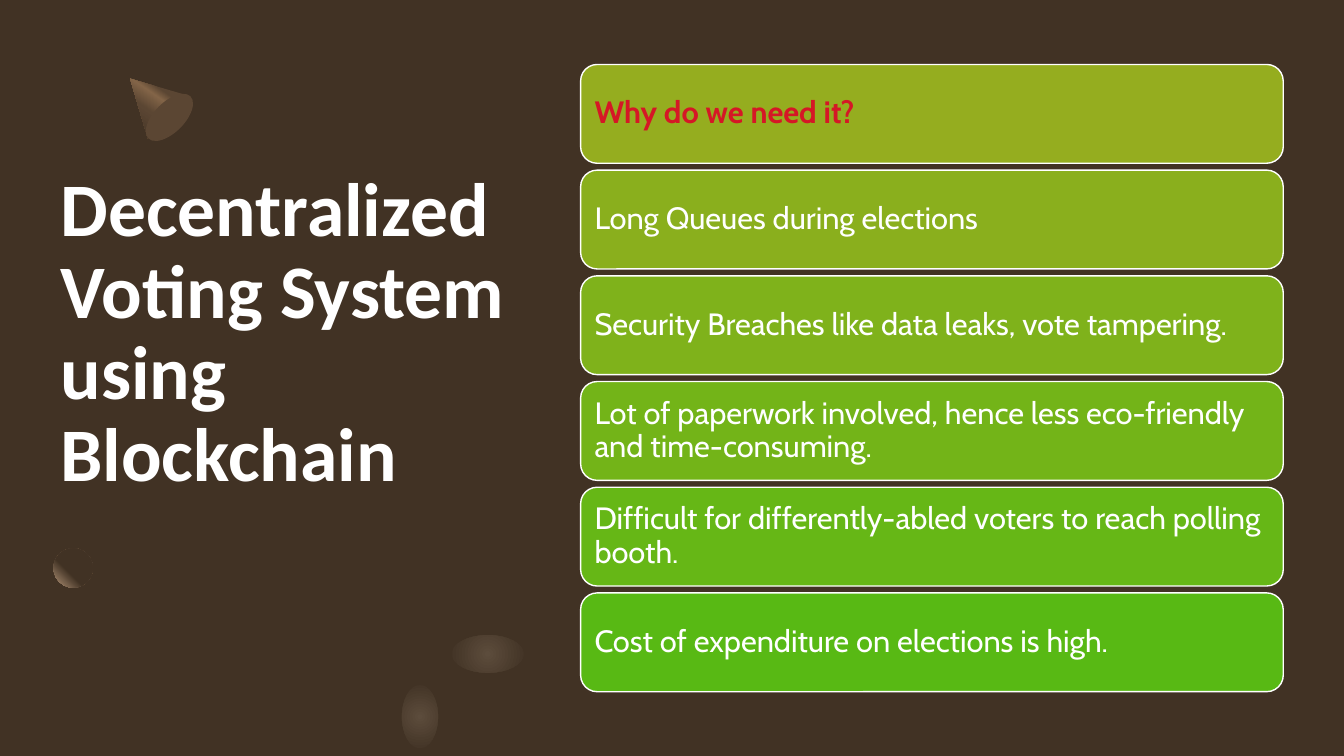
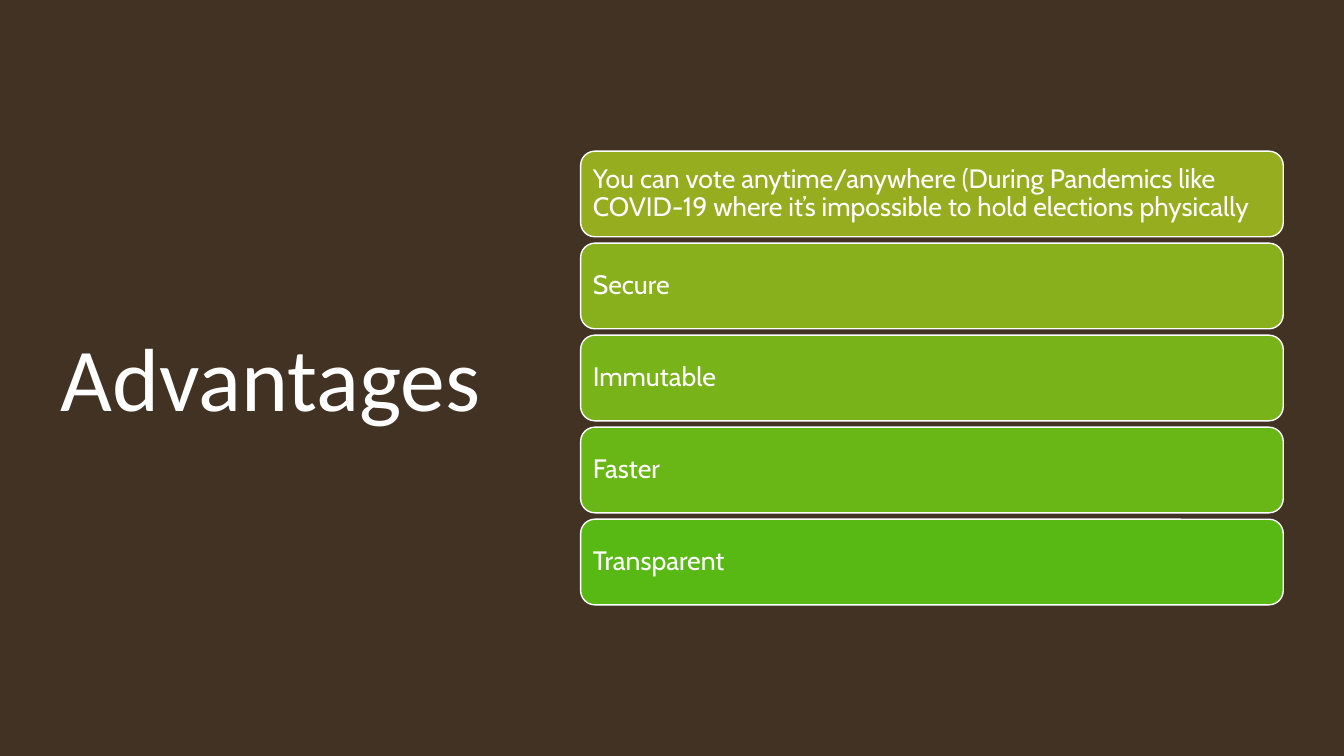
from colorsys import hls_to_rgb, rgb_to_hls

from lxml import etree
from pptx import Presentation
from pptx.dml.color import RGBColor
from pptx.enum.shapes import MSO_SHAPE
from pptx.enum.text import MSO_ANCHOR, MSO_AUTO_SIZE, PP_ALIGN
from pptx.oxml.ns import qn
from pptx.util import Inches, Pt

ROUNDED, OVAL = MSO_SHAPE.ROUNDED_RECTANGLE, MSO_SHAPE.OVAL
MIDDLE, LEFT, NO_FIT = MSO_ANCHOR.MIDDLE, PP_ALIGN.LEFT, MSO_AUTO_SIZE.NONE

COLORS = {
    "ground": "413224", "white": "FFFFFF", "red": "D51726",
    "olive": "95AD1F", "green": "58B914",
    "brown": "5B4633", "copper": "836548", "sand": "B6987B", "glow": "5C4C3C",
}


def rgb(name):
    return RGBColor.from_string(COLORS[name])


def blend(start, end, share):
    first, last = (rgb_to_hls(*(v / 255 for v in rgb(name))) for name in (start, end))
    mixed = hls_to_rgb(*(a + (b - a) * share for a, b in zip(first, last)))
    return RGBColor(*(round(v * 255) for v in mixed))


class Deck:
    heading_font, body_font = "Calibri", "Cabin"

    def __init__(self):
        self.prs = Presentation()
        self.prs.slide_width, self.prs.slide_height = Inches(13.33), Inches(7.5)
        self.column = self.prs.slide_width / 100
        self.row = self.prs.slide_height / 100
        fill = self.prs.slide_master.background.fill
        fill.solid()
        fill.fore_color.rgb = rgb("ground")

    def box(self, x, y, w, h):
        return (round(x * self.column), round(y * self.row),
                round(w * self.column), round(h * self.row))

    def set_text(self, tf, text, font, size, color, bold=False, inset=0, spacing=0.9):
        tf.text = text
        tf.word_wrap, tf.auto_size, tf.vertical_anchor = True, NO_FIT, MIDDLE
        tf.margin_left = tf.margin_right = tf.margin_top = tf.margin_bottom = Inches(inset)
        p = tf.paragraphs[0]
        p.alignment, p.line_spacing = LEFT, spacing
        r = p.runs[0]
        r.font.name, r.font.size, r.font.bold = font, Pt(size), bold
        r.font.color.rgb = rgb(color)

    def add_slide(self, title, size, bold=False, spacing=0.9, lift=0):
        self.slide = self.prs.slides.add_slide(self.prs.slide_layouts[5])
        sp = self.slide.shapes.title
        sp.left, sp.top, sp.width, sp.height = self.box(4.5, 22.13, 37.2, 55.07)
        self.set_text(sp.text_frame, title, self.heading_font, size, "white", bold,
                      spacing=spacing)
        sp.text_frame.margin_bottom = Inches(lift)

    def shape(self, kind, x, y, w, h, rotation=0):
        sp = self.slide.shapes.add_shape(kind, *self.box(x, y, w, h))
        sp.rotation = rotation
        return self.plain(sp)

    def plain(self, sp):
        sp.shadow.inherit = False
        sp.line.fill.background()
        return sp

    def solid(self, sp, color):
        sp.fill.solid()
        sp.fill.fore_color.rgb = color

    def polygon(self, points):
        corners = [(round(x * self.column), round(y * self.row)) for x, y in points]
        builder = self.slide.shapes.build_freeform(*corners[0])
        builder.add_line_segments(corners[1:])
        return self.plain(builder.convert_to_shape())

    def gradient(self, sp, stops, angle=None, focus=None):
        sp.fill.gradient()
        grad = sp._element.spPr.find(qn("a:gradFill"))
        for child in list(grad):
            grad.remove(child)
        stop_list = etree.SubElement(grad, qn("a:gsLst"))
        for position, name in stops:
            stop = etree.SubElement(stop_list, qn("a:gs"), pos=str(position * 1000))
            etree.SubElement(stop, qn("a:srgbClr"), val=COLORS[name])
        if focus:
            circle = etree.SubElement(grad, qn("a:path"), {"path": "circle"})
            edges = {side: str(v * 1000) for side, v in zip("ltrb", focus)}
            etree.SubElement(circle, qn("a:fillToRect"), edges)
        else:
            etree.SubElement(grad, qn("a:lin"), ang=str(angle * 60000), scaled="0")

    def cards(self, texts, top, height, gap, size, inset, highlight=None):
        for i, text in enumerate(texts):
            sp = self.shape(ROUNDED, 43.2, top + i * (height + gap), 52.28, height)
            self.solid(sp, blend("olive", "green", i / (len(texts) - 1)))
            sp.line.color.rgb = rgb("white")
            sp.line.width = Pt(1)
            marked = i == highlight
            self.set_text(sp.text_frame, text, self.body_font, size,
                          "red" if marked else "white", marked, inset)

    def cone(self):
        side = self.polygon([(9.68, 10.4), (14.1, 12.7), (11, 18.3)])
        self.gradient(side, [(30, "brown"), (40, "copper"), (60, "brown"),
                             (100, "ground")], angle=125)
        base = self.shape(OVAL, 11.48, 11.6, 2.25, 7.87, rotation=45)
        self.solid(base, rgb("brown"))

    def sphere(self):
        sp = self.shape(OVAL, 3.98, 72.53, 2.93, 5.2)
        self.gradient(sp, [(60, "ground"), (100, "sand")], focus=(100, 0, 0, 100))

    def glow(self, x, y, w, h):
        sp = self.shape(OVAL, x, y, w, h)
        self.gradient(sp, [(0, "glow"), (100, "ground")], focus=(50, 50, 50, 50))


deck = Deck()

deck.add_slide("Decentralized Voting System using Blockchain", 54, bold=True, lift=0.81)
deck.cone()
deck.sphere()
deck.glow(33.6, 84, 5.4, 5)
deck.glow(29.9, 90.6, 2.7, 8.4)
deck.cards([
    "Why do we need it?",
    "Long Queues during elections",
    "Security Breaches like data leaks, vote tampering.",
    "Lot of paperwork involved, hence less eco-friendly and time-consuming.",
    "Difficult for differently-abled voters to reach polling booth.",
    "Cost of expenditure on elections is high.",
], top=8.53, height=13.07, gap=0.91, size=22, inset=0.09, highlight=0)

deck.add_slide("Advantages", 64, spacing=1)
deck.cards([
    "You can vote anytime/anywhere (During Pandemics like COVID-19 where it’s "
    "impossible to hold elections physically",
    "Secure",
    "Immutable",
    "Faster",
    "Transparent",
], top=20, height=11.33, gap=0.84, size=19, inset=0.08)

deck.prs.save("out.pptx")
